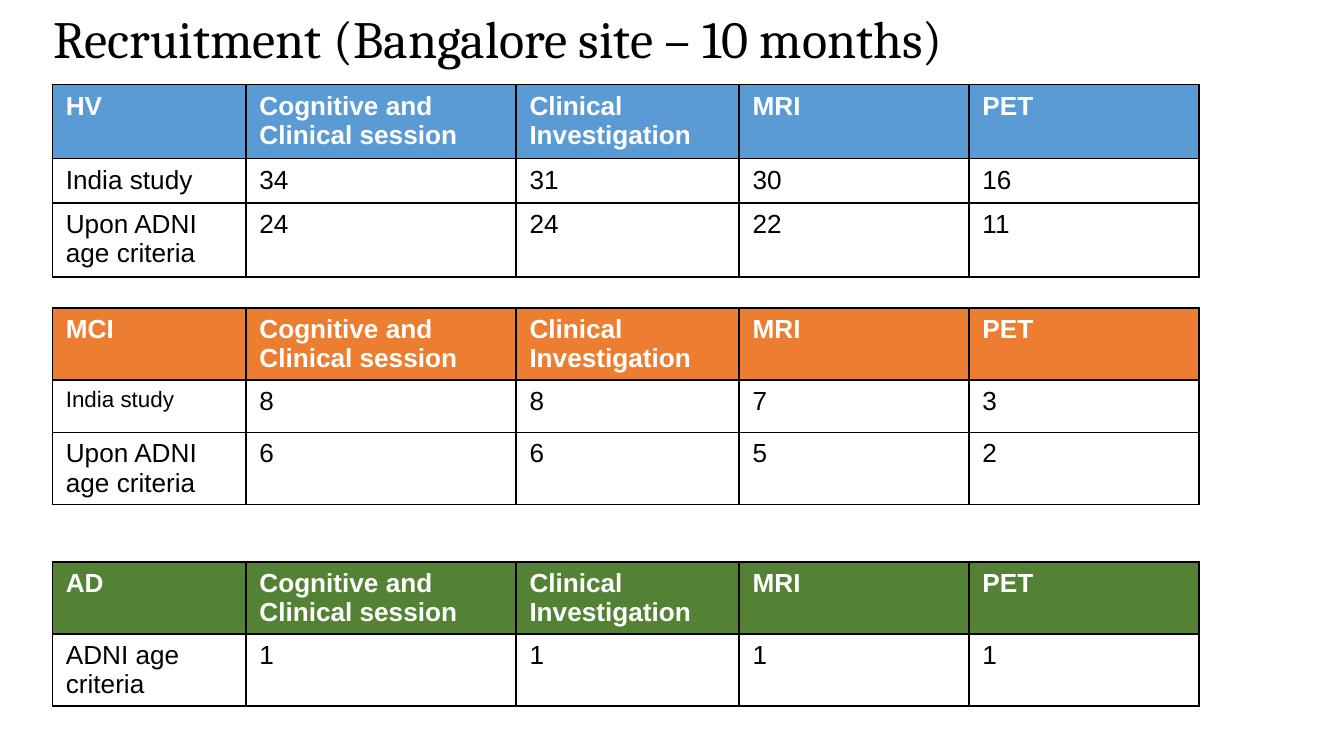
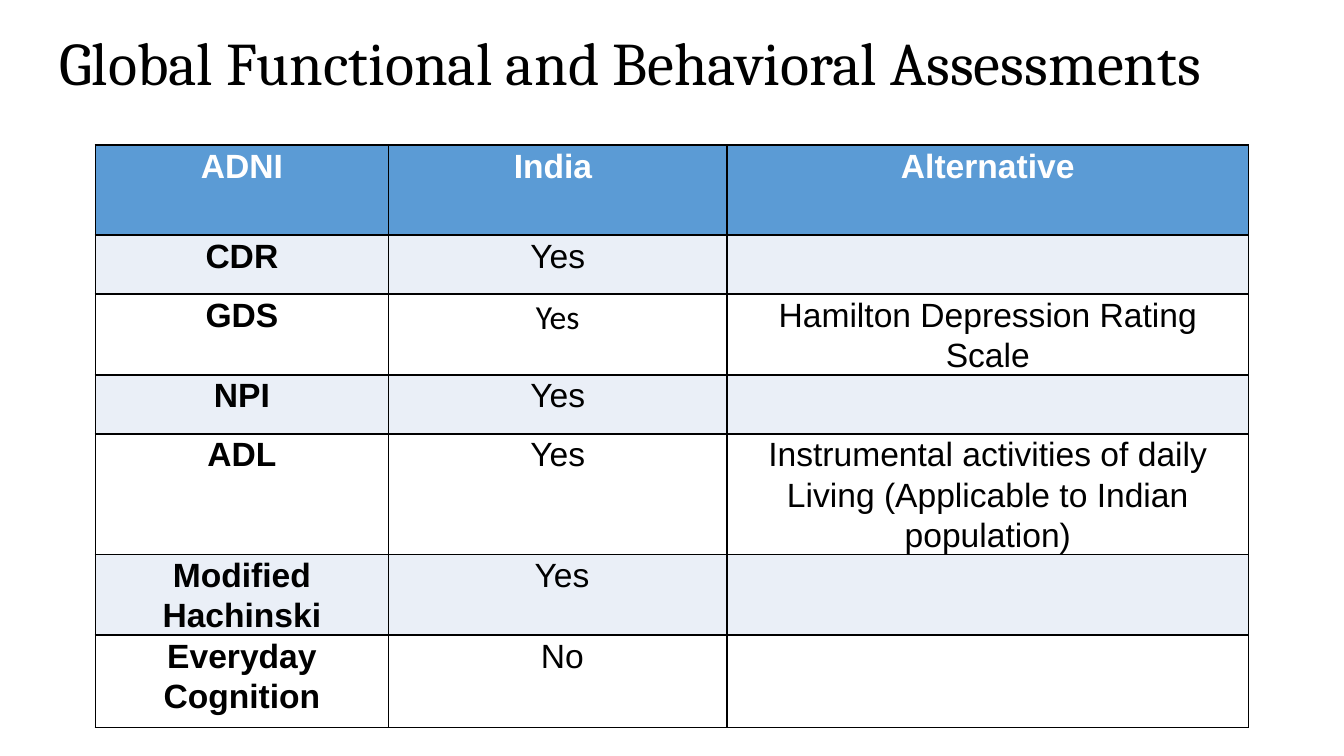
from lxml.etree import SubElement
from pptx import Presentation
from pptx.dml.color import RGBColor
from pptx.enum.text import MSO_ANCHOR, MSO_AUTO_SIZE, PP_ALIGN
from pptx.oxml.ns import qn
from pptx.util import Inches, Pt

BLACK = RGBColor(0x00, 0x00, 0x00)
WHITE = RGBColor(0xFF, 0xFF, 0xFF)
BLUE = RGBColor(0x5B, 0x9B, 0xD5)
ORANGE = RGBColor(0xED, 0x7D, 0x31)
GREEN = RGBColor(0x54, 0x82, 0x35)
PALE_BLUE = RGBColor(0xEA, 0xEF, 0xF7)

# Widescreen page, 16 to 9
PAGE_WIDTH = Inches(10)
PAGE_HEIGHT = PAGE_WIDTH * 9 // 16

# Content: recruitment by group
RECRUITMENT_TITLE = "Recruitment (Bangalore site – 10 months)"
SESSIONS = ["Cognitive and Clinical session", "Clinical Investigation", "MRI", "PET"]
SESSION_WIDTHS = [1.44, 2.01, 1.66, 1.71, 1.71]
GROUPS = [
    {"name": "HV", "top": 0.63, "color": BLUE, "heights": [0.55, 0.33, 0.55],
     "counts": [["India study", "34", "31", "30", "16"],
                ["Upon ADNI age criteria", "24", "24", "22", "11"]]},
    {"name": "MCI", "top": 2.29, "color": ORANGE, "heights": [0.5, 0.39, 0.47],
     "counts": [["India study", "8", "8", "7", "3"],
                ["Upon ADNI age criteria", "6", "6", "5", "2"]],
     "special": {(1, 0): {"size": Pt(12)}}},
    {"name": "AD", "top": 4.18, "color": GREEN, "heights": [0.42, 0.39],
     "counts": [["ADNI age criteria", "1", "1", "1", "1"]]},
]

# Content: assessments
ASSESSMENT_TITLE = "Global Functional and Behavioral Assessments"
ASSESSMENT_WIDTHS = [2.18, 2.52, 3.88]
ASSESSMENT_HEIGHTS = [0.67, 0.44, 0.44, 0.44, 0.71, 0.54, 0.69]
ASSESSMENTS = [
    ["ADNI", "India ", "Alternative"],
    ["CDR", "Yes", ""],
    ["GDS", "Yes", "Hamilton Depression Rating Scale"],
    ["NPI", "Yes", ""],
    ["ADL", "Yes", "Instrumental activities of daily Living (Applicable to Indian population)"],
    ["Modified Hachinski", " Yes", ""],
    ["Everyday Cognition", " No", ""],
]

# Paragraph and cell formats
SESSION_PARA = {"alignment": PP_ALIGN.LEFT}
ASSESSMENT_PARA = {"alignment": PP_ALIGN.CENTER, "line_spacing": 1.07}
ASSESSMENT_CELL = {"margin_left": Inches(0.07), "margin_right": Inches(0.07),
                   "margin_top": 0, "margin_bottom": 0}


def set_all(target, values):
    for name, value in values.items():
        setattr(target, name, value)


def write(para, text, color, **font):
    span = para.add_run()
    span.text = text
    set_all(span.font, font)
    span.font.color.rgb = color


def add_page(deck, title, left, top, size):
    page = deck.slides.add_slide(deck.slide_layouts[5])
    box = page.shapes.title
    set_all(box, {"left": Inches(left), "top": Inches(top),
                  "width": Inches(9.32), "height": Inches(0.63)})
    frame = box.text_frame
    set_all(frame, {"word_wrap": True, "auto_size": MSO_AUTO_SIZE.NONE,
                    "vertical_anchor": MSO_ANCHOR.TOP})
    for side in ("left", "right", "top", "bottom"):
        setattr(frame, f"margin_{side}", Inches(0.1))
    para = frame.paragraphs[0]
    set_all(para, {"alignment": PP_ALIGN.LEFT, "line_spacing": 0.9})
    write(para, title, BLACK, name="Cambria", size=Pt(size))
    return page


def add_borders(cell):
    properties = cell._tc.get_or_add_tcPr()
    for tag in ("a:lnL", "a:lnR", "a:lnT", "a:lnB"):
        line = SubElement(properties, qn(tag), w=str(Pt(1)))
        fill = SubElement(line, qn("a:solidFill"))
        SubElement(fill, qn("a:srgbClr"), val=str(BLACK))


def add_grid(page, left, top, widths, heights, rows, size, header_color,
             band_color=WHITE, bold_first=False, para_format=SESSION_PARA,
             cell_format=None, special=None):
    frame = page.shapes.add_table(len(rows), len(widths), Inches(left), Inches(top),
                                  Inches(sum(widths)), Inches(sum(heights)))
    table = frame.table
    set_all(table, {"first_row": False, "horz_banding": False})
    for column, width in zip(table.columns, widths):
        column.width = Inches(width)
    for row, height in zip(table.rows, heights):
        row.height = Inches(height)

    for r, texts in enumerate(rows):
        header = r == 0
        background = header_color if header else band_color if r % 2 else WHITE
        for c, text in enumerate(texts):
            cell = table.cell(r, c)
            set_all(cell, cell_format or {})
            add_borders(cell)
            cell.fill.solid()
            cell.fill.fore_color.rgb = background
            para = cell.text_frame.paragraphs[0]
            set_all(para, para_format)
            if text:
                font = {"name": "Arial", "size": Pt(size),
                        "bold": header or (bold_first and c == 0)}
                font.update((special or {}).get((r, c), {}))
                write(para, text, WHITE if header else BLACK, **font)


def main():
    deck = Presentation()
    set_all(deck, {"slide_width": PAGE_WIDTH, "slide_height": PAGE_HEIGHT})

    # Recruitment: one table for each group
    page = add_page(deck, RECRUITMENT_TITLE, 0.3, 0, 28)
    for group in GROUPS:
        rows = [[group["name"], *SESSIONS], *group["counts"]]
        add_grid(page, 0.39, group["top"], SESSION_WIDTHS, group["heights"], rows,
                 14, group["color"], special=group.get("special"))

    # Assessments: one banded table
    page = add_page(deck, ASSESSMENT_TITLE, 0.34, 0.15, 32.4)
    add_grid(page, 0.71, 1.08, ASSESSMENT_WIDTHS, ASSESSMENT_HEIGHTS, ASSESSMENTS,
             18, BLUE, PALE_BLUE, bold_first=True, para_format=ASSESSMENT_PARA,
             cell_format=ASSESSMENT_CELL, special={(2, 1): {"name": "Calibri"}})

    deck.save("out.pptx")


if __name__ == "__main__":
    main()
